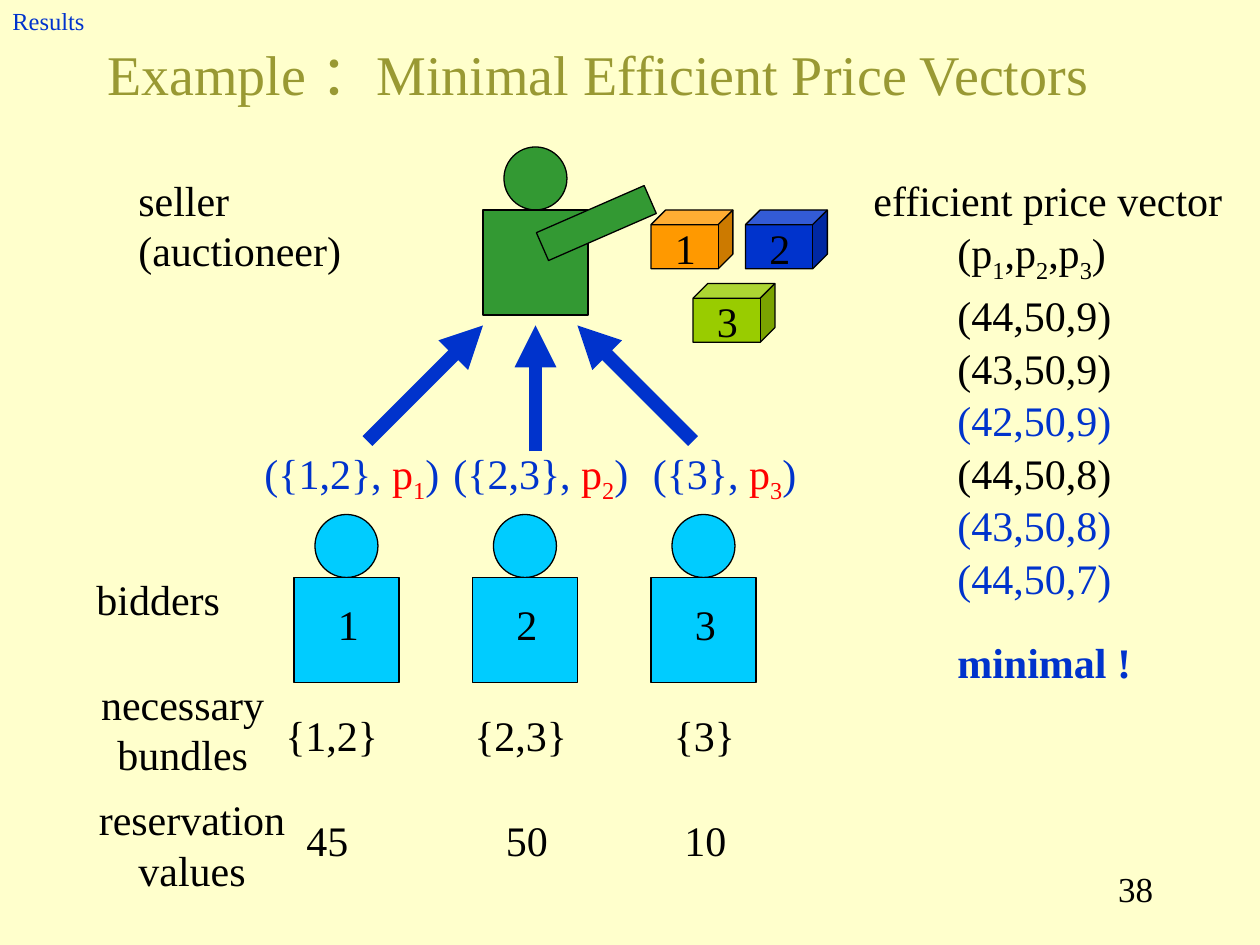
"""Build the slide on minimal efficient price vectors, laid out on a 120 by 90 grid."""
from lxml.etree import SubElement
from pptx import Presentation
from pptx.dml.color import RGBColor
from pptx.enum.shapes import MSO_CONNECTOR, MSO_SHAPE
from pptx.enum.text import MSO_ANCHOR, PP_ALIGN
from pptx.oxml.ns import qn
from pptx.util import Inches, Pt

CREAM = RGBColor(0xFF, 0xFF, 0xCC)
OLIVE = RGBColor(0x99, 0x99, 0x33)
BLACK = RGBColor(0x00, 0x00, 0x00)
BLUE = RGBColor(0x00, 0x33, 0xCC)
RED = RGBColor(0xFF, 0x00, 0x00)
ORANGE = RGBColor(0xFF, 0x99, 0x00)
LIME = RGBColor(0x99, 0xCC, 0x00)
GREEN = RGBColor(0x33, 0x99, 0x33)
CYAN = RGBColor(0x00, 0xCC, 0xFF)

FONT = "Times New Roman"
CELLS_PER_INCH = 12
LINE_ROWS = 6
BODY_SIZE = 10
HEAD_SIZE = 6


def cells(*counts):
    """Turn grid counts into lengths."""
    return [Inches(count / CELLS_PER_INCH) for count in counts]


def style(paragraph, color=BLACK, size=24, bold=False, align=PP_ALIGN.LEFT):
    """Format a whole paragraph."""
    paragraph.alignment = align
    paragraph.font.name = FONT
    paragraph.font.size = Pt(size)
    paragraph.font.bold = bold
    paragraph.font.color.rgb = color


def add_label(shapes, words, col, row, width, height=LINE_ROWS,
              anchor=MSO_ANCHOR.TOP, **look):
    """Add a wrapping text box and return its paragraph."""
    frame = shapes.add_textbox(*cells(col, row, width, height)).text_frame
    frame.word_wrap = True
    frame.vertical_anchor = anchor
    paragraph = frame.paragraphs[0]
    paragraph.text = words
    style(paragraph, **look)
    return paragraph


def add_run(paragraph, words, color=None, subscript=False):
    """Append a run, coloured or lowered where asked."""
    run = paragraph.add_run()
    run.text = words
    if color is not None:
        run.font.color.rgb = color
    if subscript:
        run.font._element.set("baseline", "-25000")


def add_solid(shapes, kind, color, col, row, width, height):
    """Add a filled preset shape with a thin black outline."""
    solid = shapes.add_shape(kind, *cells(col, row, width, height))
    solid.shadow.inherit = False
    solid.fill.solid()
    solid.fill.fore_color.rgb = color
    solid.line.color.rgb = BLACK
    solid.line.width = Pt(0.75)
    return solid


def add_person(slide, color, col, row):
    """Add a grouped figure of head and body and return its shapes."""
    figure = slide.shapes.add_group_shape().shapes
    head_col = col + (BODY_SIZE - HEAD_SIZE) / 2
    add_solid(figure, MSO_SHAPE.OVAL, color, head_col, row, HEAD_SIZE, HEAD_SIZE)
    add_solid(figure, MSO_SHAPE.RECTANGLE, color, col, row + HEAD_SIZE,
              BODY_SIZE, BODY_SIZE)
    return figure


def add_item(slide, number, color, col, row):
    """Add a numbered cube for sale."""
    item = slide.shapes.add_group_shape().shapes
    add_solid(item, MSO_SHAPE.CUBE, color, col, row, 7.8, 5.6)
    add_label(item, number, col + 1.1, row + 0.6, 4.1)


def add_bid_arrow(slide, *ends):
    """Add a thick arrow from a bid to the seller."""
    arrow = slide.shapes.add_connector(MSO_CONNECTOR.STRAIGHT, *cells(*ends))
    arrow.line.color.rgb = BLUE
    arrow.line.width = Pt(8)
    SubElement(arrow.line._get_or_add_ln(), qn("a:tailEnd"), type="triangle")
    SubElement(arrow._element.spPr, qn("a:effectLst"))


def add_title(slide):
    """Fill the title placeholder."""
    title = slide.shapes.title
    title.left, title.top, title.width, title.height = cells(9, 2, 102, 10)
    title.text_frame.vertical_anchor = MSO_ANCHOR.MIDDLE
    title.text_frame.text = "Example ：Minimal Efficient Price Vectors"
    style(title.text_frame.paragraphs[0], OLIVE, 32)


def add_seller(slide):
    """Add the seller with an arm pointing at the items."""
    seller = add_person(slide, GREEN, 46, 14)
    arm = add_solid(seller, MSO_SHAPE.RECTANGLE, GREEN, 51.2, 19.8, 11.2, 2.9)
    arm.rotation = 336.4
    for number, color, col, row in (("1", ORANGE, 62, 20), ("2", BLUE, 71, 20),
                                    ("3", LIME, 66, 27)):
        add_item(slide, number, color, col, row)


def add_bidders(slide):
    """Add each bidder with bid, necessary bundle and reservation value."""
    bidders = (
        ("{1,2}", "45", (24, 20), (26, 13), (28, 6.8)),
        ("{2,3}", "50", (42, 20), (44, 12), (47, 6.8)),
        ("{3}", "10", (61, 17), (63, 9.6), (64, 7.7)),
    )
    for index, (bundle, value, bid_at, bundle_at, value_at) in enumerate(bidders):
        number = str(index + 1)
        col = 28 + 17 * index
        figure = add_person(slide, CYAN, col, 49)
        add_label(figure, number, col + 3, 56.4, 5)
        for words, (left, width), row in ((bundle, bundle_at, 67),
                                          (value, value_at, 77)):
            add_label(slide.shapes, words, left, row, width)
        bid = add_label(slide.shapes, "", bid_at[0], 42, bid_at[1], color=BLUE)
        add_run(bid, f"({bundle}, ")
        add_run(bid, "p", RED)
        add_run(bid, number, RED, subscript=True)
        add_run(bid, ")")


def add_price_vectors(slide):
    """Add the column of efficient price vectors, the minimal ones in blue."""
    add_label(slide.shapes, "efficient price vector", 82, 16, 38)
    vector = add_label(slide.shapes, "", 90, 21, 20)
    for number, lead in (("1", "(p"), ("2", ",p"), ("3", ",p")):
        add_run(vector, lead)
        add_run(vector, number, subscript=True)
    add_run(vector, ")")
    prices = (("(44,50,9)", BLACK), ("(43,50,9)", BLACK), ("(42,50,9)", BLUE),
              ("(44,50,8)", BLACK), ("(43,50,8)", BLUE), ("(44,50,7)", BLUE))
    for index, (price, color) in enumerate(prices):
        add_label(slide.shapes, price, 90, 27 + 5 * index, 21, color=color)
    add_label(slide.shapes, "minimal !", 90, 60, 19, color=BLUE, bold=True)


def main():
    """Assemble and save the slide."""
    deck = Presentation()
    deck.slide_width, deck.slide_height = cells(120, 90)
    slide = deck.slides.add_slide(deck.slide_layouts[5])
    slide.background.fill.solid()
    slide.background.fill.fore_color.rgb = CREAM

    add_title(slide)
    add_seller(slide)
    add_bidders(slide)
    for ends in ((35, 42, 46, 31), (51, 43, 51, 31), (66, 42, 55, 31)):
        add_bid_arrow(slide, *ends)
    for words, col, row, width, height, align in (
            ("seller (auctioneer)", 12, 16, 24.5, 10.8, PP_ALIGN.LEFT),
            ("bidders", 8, 54, 15.2, LINE_ROWS, PP_ALIGN.LEFT),
            ("necessary bundles", 8, 64, 18.8, 10.8, PP_ALIGN.CENTER),
            ("reservation values", 8, 75, 20.6, 10.8, PP_ALIGN.CENTER)):
        add_label(slide.shapes, words, col, row, width, height, align=align)
    add_price_vectors(slide)
    add_label(slide.shapes, "Results", 0, 0, 43, 4, MSO_ANCHOR.MIDDLE,
              color=BLUE, size=14)
    add_label(slide.shapes, "38", 86, 82, 25, size=20, align=PP_ALIGN.RIGHT)
    deck.save("out.pptx")


if __name__ == "__main__":
    main()
